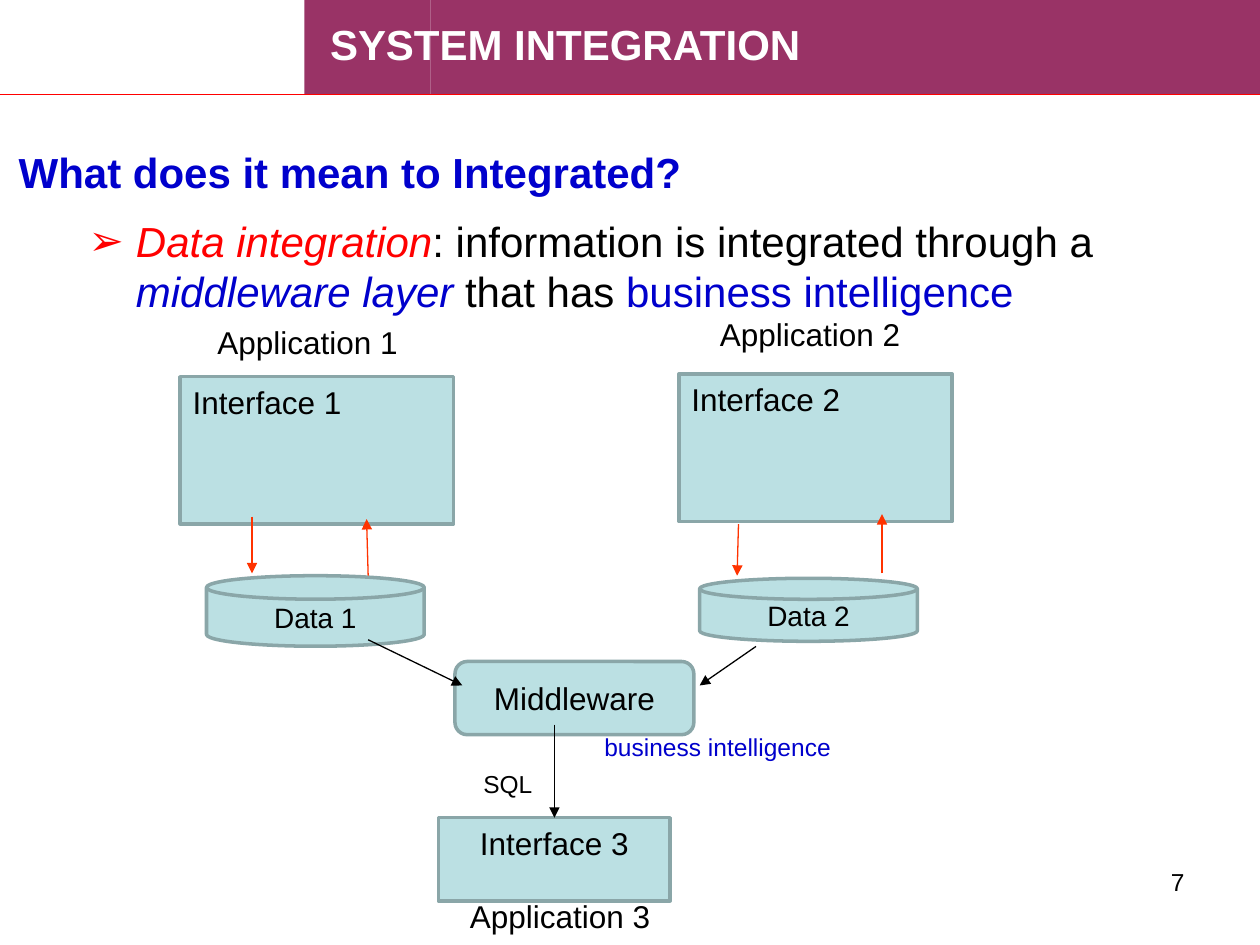
from lxml import etree
from pptx import Presentation
from pptx.dml.color import RGBColor
from pptx.enum.shapes import MSO_CONNECTOR, MSO_SHAPE
from pptx.enum.text import MSO_ANCHOR, MSO_AUTO_SIZE, PP_ALIGN
from pptx.oxml.ns import qn
from pptx.util import Pt

RECT = MSO_SHAPE.RECTANGLE
ROUNDED = MSO_SHAPE.ROUNDED_RECTANGLE
DISK = MSO_SHAPE.FLOWCHART_MAGNETIC_DISK
STRAIGHT = MSO_CONNECTOR.STRAIGHT
TOP, MIDDLE = MSO_ANCHOR.TOP, MSO_ANCHOR.MIDDLE
LEFT, CENTER, RIGHT = PP_ALIGN.LEFT, PP_ALIGN.CENTER, PP_ALIGN.RIGHT

BLACK = RGBColor(0x00, 0x00, 0x00)
WHITE = RGBColor(0xFF, 0xFF, 0xFF)
RED = RGBColor(0xFF, 0x00, 0x00)
ORANGE = RGBColor(0xFF, 0x33, 0x00)
BLUE = RGBColor(0x00, 0x00, 0xCC)
PLUM = RGBColor(0x99, 0x33, 0x66)
TEAL = RGBColor(0xBB, 0xE0, 0xE3)
TEAL_EDGE = RGBColor(0x8A, 0xA6, 0xA8)


def write(shape, text, size, color=BLACK, align=LEFT, anchor=TOP, bold=False):
    frame = shape.text_frame
    frame.word_wrap = True
    frame.auto_size = MSO_AUTO_SIZE.NONE
    frame.vertical_anchor = anchor
    paragraph = frame.paragraphs[0]
    paragraph.text = text
    paragraph.alignment = align
    font = paragraph.font
    font.name, font.size, font.bold = "Arial", Pt(size), bold
    font.color.rgb = color


def connect(x1, y1, x2, y2, color, arrow=True):
    line = slide.shapes.add_connector(STRAIGHT, Pt(x1), Pt(y1), Pt(x2), Pt(y2))
    line.line.color.rgb = color
    line.line.width = Pt(0.75)
    if arrow:
        etree.SubElement(line.line._get_or_add_ln(), qn("a:tailEnd"), type="triangle")
    etree.SubElement(line.element.spPr, qn("a:effectLst"))


prs = Presentation()
prs.slide_width, prs.slide_height = Pt(720), Pt(540)
slide = prs.slides.add_slide(prs.slide_layouts[5])

# Header band and title
for left, width in ((246, 474), (174, 72)):
    band = slide.shapes.add_shape(RECT, Pt(left), Pt(0), Pt(width), Pt(54))
    band.shadow.inherit = False
    band.fill.solid()
    band.fill.fore_color.rgb = PLUM
    band.line.fill.background()
connect(0, 54, 720, 54, RED, arrow=False)

title = slide.shapes.title
title.left, title.top, title.width, title.height = Pt(181.4), Pt(7.2), Pt(480), Pt(36.7)
write(title, "SYSTEM INTEGRATION", 24, WHITE, bold=True)
title.element.getparent().append(title.element)  # in front of the band

# Question and its answer
question = slide.shapes.add_textbox(Pt(3.6), Pt(79.9), Pt(715), Pt(36.7))
write(question, "What does it mean to Integrated?", 24, BLUE, anchor=MIDDLE, bold=True)

answer = slide.shapes.add_textbox(Pt(3.6), Pt(119.5), Pt(715), Pt(70))
answer.text_frame.word_wrap = True
definition = answer.text_frame.paragraphs[0]
bullet = definition._p.get_or_add_pPr()
bullet.set("marL", str(Pt(67)))
bullet.set("indent", str(-Pt(27)))
bullet_color = etree.SubElement(bullet, qn("a:buClr"))
etree.SubElement(bullet_color, qn("a:srgbClr"), val=str(RED))
etree.SubElement(bullet, qn("a:buFont"), typeface="Arial")
etree.SubElement(bullet, qn("a:buChar"), char="➢")
definition.font.name, definition.font.size = "Arial", Pt(24)
for text, color, italic in (
    ("Data integration", RED, True),
    (": information is integrated through a ", BLACK, False),
    ("middleware layer ", BLUE, True),
    ("that has ", BLACK, False),
    ("business intelligence", BLUE, False),
):
    run = definition.add_run()
    run.text = text
    run.font.color.rgb = color
    run.font.italic = italic

# Interfaces, data stores and middleware
for kind, text, left, top, width, height, size, align, anchor in (
    (RECT, "Interface 1", 103, 215.3, 156.2, 84.2, 18, LEFT, TOP),
    (RECT, "Interface 2", 388, 213.8, 156.2, 84.2, 18, LEFT, TOP),
    (RECT, "Interface 3", 250.5, 467.3, 132.5, 47.5, 18, CENTER, TOP),
    (DISK, "Data 1", 118, 329, 124.4, 40.3, 16, CENTER, MIDDLE),
    (DISK, "Data 2", 399.8, 330.5, 124.4, 36, 16, CENTER, MIDDLE),
    (ROUNDED, "Middleware", 260, 378, 136.5, 41.8, 18, CENTER, MIDDLE),
):
    node = slide.shapes.add_shape(kind, Pt(left), Pt(top), Pt(width), Pt(height))
    node.shadow.inherit = False
    node.fill.solid()
    node.fill.fore_color.rgb = TEAL
    node.line.color.rgb = TEAL_EDGE
    node.line.width = Pt(2)
    write(node, text, size, align=align, anchor=anchor)

# Data flows
for x1, y1, x2, y2, color in (
    (144, 295.2, 144, 327.6, ORANGE),
    (210.4, 329, 209.5, 296.6, ORANGE),
    (422, 299.5, 421.2, 329, ORANGE),
    (504, 327.6, 504, 293.8, ORANGE),
    (210.4, 365.6, 264.2, 391.7, BLACK),
    (432, 369.4, 399.8, 391.7, BLACK),
    (316.8, 414, 316.8, 467.3, BLACK),
):
    connect(x1, y1, x2, y2, color)

# Labels and page number
for text, left, top, width, size, color, align in (
    ("Application 1", 117.2, 180.9, 125, 18, BLACK, LEFT),
    ("Application 2", 404.3, 176.6, 125, 18, BLACK, LEFT),
    ("Application 3", 261.5, 509.2, 125, 18, BLACK, LEFT),
    ("business intelligence", 338.3, 414.7, 150, 14, BLUE, LEFT),
    ("SQL", 269.1, 435.7, 46, 14, BLACK, LEFT),
    ("7", 516.2, 491.8, 167.8, 14, BLACK, RIGHT),
):
    label = slide.shapes.add_textbox(Pt(left), Pt(top), Pt(width), Pt(size + 10))
    write(label, text, size, color, align)

prs.save("out.pptx")
